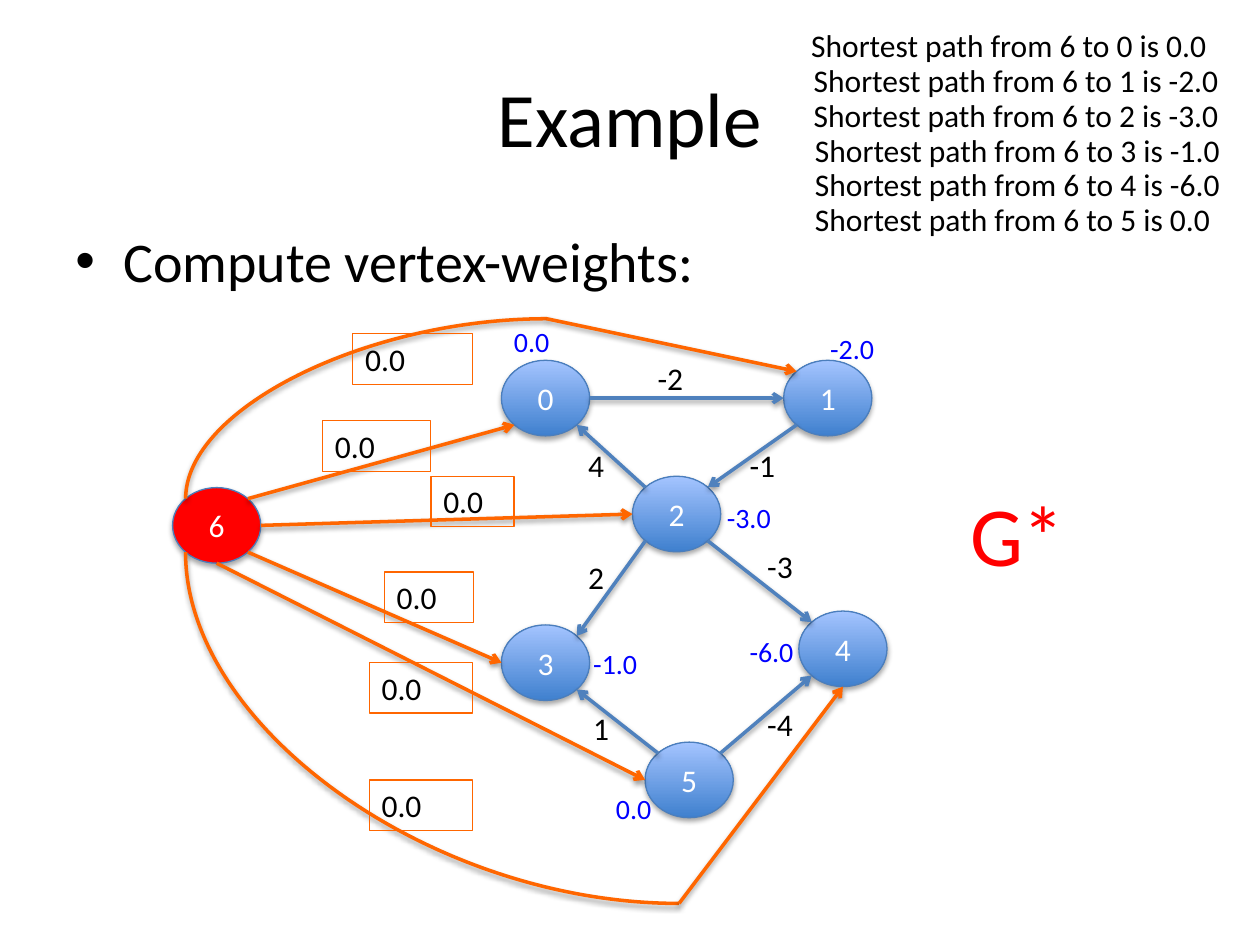
from math import cos, radians, sin

from lxml.etree import SubElement
from pptx import Presentation
from pptx.dml.color import RGBColor
from pptx.enum.shapes import MSO_CONNECTOR, MSO_SHAPE
from pptx.enum.text import MSO_ANCHOR, MSO_AUTO_SIZE, PP_ALIGN
from pptx.oxml.ns import qn
from pptx.util import Inches, Pt

COLORS = {
    "black": "000000", "white": "FFFFFF", "red": "FF0000", "blue": "0000FF",
    "orange": "FF6600", "edge": "4F81BD", "outline": "4B7EBC",
    "dark": "3F80CE", "light": "A4C4FF",
}
FONT = "Calibri"
NODE_WIDTH, NODE_HEIGHT = 0.7, 0.6
LABEL_HEIGHT = 0.4

# Node name: centre
NODES = {
    "0": (4.33, 3.16), "1": (6.57, 3.16), "2": (5.37, 4.08),
    "4": (6.69, 5.15), "3": (4.33, 5.26), "5": (5.47, 6.19),
}
SOURCE, SOURCE_CENTER = "6", (1.72, 4.17)
CENTERS = {**NODES, SOURCE: SOURCE_CENTER}

# Points on a node's rim, as clockwise degrees from the right
SITES = {"e": 0, "se": 45, "s": 90, "sw": 135, "w": 180, "nw": 225, "n": 270, "ne": 315}

# From node, site, to node, site, weight, place of the weight
EDGES = [
    ("0", "e", "1", "w", "-2", (5.12, 2.8)),
    ("1", "sw", "2", "ne", "-1", (5.85, 3.49)),
    ("2", "nw", "0", "se", "4", (4.57, 3.49)),
    ("2", "sw", "3", "ne", "2", (4.57, 4.38)),
    ("2", "se", "4", "nw", "-3", (5.99, 4.29)),
    ("5", "nw", "3", "se", "1", (4.61, 5.58)),
    ("5", "ne", "4", "sw", "-4", (5.99, 5.55)),
]

# Site on the source, to node, site, end of the curve, left, top and width of the box
SOURCE_EDGES = [
    ("ne", "0", "sw", None, (2.56, 3.34, 0.86)),
    ("e", "2", "w", None, (3.42, 3.78, 0.66)),
    ("se", "3", "w", None, (3.05, 4.54, 0.71)),
    ("s", "5", "w", None, (2.93, 5.26, 0.82)),
    ("sw", "4", "s", (5.39, 7.17), (2.93, 6.19, 0.82)),
    ("nw", "1", "nw", (4.34, 2.53), (2.8, 2.65, 0.95)),
]
SOURCE_WEIGHT = "0.0"

# Node, distance from the source, left of the result line, place of the vertex weight
DISTANCES = [
    ("0", "0.0", 6.34, (3.98, 2.53)),
    ("1", "-2.0", 6.36, (6.49, 2.58)),
    ("2", "-3.0", 6.36, (5.67, 3.92)),
    ("3", "-1.0", 6.37, (4.61, 5.08)),
    ("4", "-6.0", 6.37, (5.85, 4.99)),
    ("5", "0.0", 6.37, (4.79, 6.23)),
]
RESULT_TOP, RESULT_STEP = 0.16, 0.276


def color(name):
    return RGBColor.from_string(COLORS[name])


def rim_point(node, site):
    x, y = CENTERS[node]
    angle = radians(SITES[site])
    return x + NODE_WIDTH / 2 * cos(angle), y + NODE_HEIGHT / 2 * sin(angle)


def add_shadow(shape, distance, opacity):
    """Drop a soft shadow straight down; fill and line must be set before."""
    effects = SubElement(shape._element.spPr, qn("a:effectLst"))
    shadow = SubElement(effects, qn("a:outerShdw"), blurRad=str(Pt(3.1)),
                        dist=str(Pt(distance)), dir="5400000", rotWithShape="0")
    black = SubElement(shadow, qn("a:srgbClr"), val=COLORS["black"])
    SubElement(black, qn("a:alpha"), val=str(opacity * 1000))


def style_text(shape, text, size, color_name):
    frame = shape.text_frame
    frame.word_wrap = True
    paragraph = frame.paragraphs[0]
    paragraph.text = text
    paragraph.font.name = FONT
    paragraph.font.size = Pt(size)
    paragraph.font.color.rgb = color(color_name)
    return paragraph


def add_text(shapes, text, box, size=18, color_name="black", grow=True):
    textbox = shapes.add_textbox(*map(Inches, box))
    style_text(textbox, text, size, color_name)
    if grow:
        textbox.text_frame.auto_size = MSO_AUTO_SIZE.SHAPE_TO_FIT_TEXT
    return textbox


def add_node(shapes, name, center):
    x, y = center
    box = (x - NODE_WIDTH / 2, y - NODE_HEIGHT / 2, NODE_WIDTH, NODE_HEIGHT)
    node = shapes.add_shape(MSO_SHAPE.OVAL, *map(Inches, box))
    if name == SOURCE:
        node.fill.solid()
        node.fill.fore_color.rgb = color("red")
    else:
        node.fill.gradient()
        node.fill.gradient_angle = 90
        for stop, shade in zip(node.fill.gradient_stops, ("dark", "light")):
            stop.color.rgb = color(shade)
    node.line.color.rgb = color("outline")
    node.line.width = Pt(0.75)
    add_shadow(node, 1.8, 35)
    style_text(node, name, 18, "white").alignment = PP_ALIGN.CENTER
    node.text_frame.vertical_anchor = MSO_ANCHOR.MIDDLE


def style_line(connector, color_name, arrow=True):
    connector.line.color.rgb = color(color_name)
    connector.line.width = Pt(2)
    if arrow:
        line = connector._element.spPr.find(qn("a:ln"))
        SubElement(line, qn("a:tailEnd"), type="arrow")
    add_shadow(connector, 1.6, 38)


def add_arrow(shapes, start, end, color_name):
    arrow = shapes.add_connector(MSO_CONNECTOR.STRAIGHT, *map(Inches, (*start, *end)))
    style_line(arrow, color_name)


def add_curve(shapes, start, end, color_name):
    """Quarter curve that leaves start vertically and reaches end on its right."""
    (x1, y1), (x2, y2) = start, end
    width, height = abs(y2 - y1), x2 - x1
    left, top = (x1 + x2 - width) / 2, (y1 + y2 - height) / 2
    curve = shapes.add_connector(
        MSO_CONNECTOR.CURVE, *map(Inches, (left, top, left + width, top + height)))
    properties = curve._element.spPr
    properties.find(qn("a:prstGeom")).set("prst", "curvedConnector2")
    transform = properties.find(qn("a:xfrm"))
    transform.set("flipH", "1")
    if y2 < y1:
        transform.set("flipV", "1")
    transform.set("rot", str((270 if y2 > y1 else 90) * 60000))
    style_line(curve, color_name, arrow=False)


presentation = Presentation()
presentation.slide_width, presentation.slide_height = Inches(10), Inches(7.5)
slide = presentation.slides.add_slide(presentation.slide_layouts[6])
shapes = slide.shapes

title = add_text(shapes, "Example", (0.5, 0.3, 9, 1.25), 44, grow=False)
title.text_frame.vertical_anchor = MSO_ANCHOR.MIDDLE
title.text_frame.paragraphs[0].alignment = PP_ALIGN.CENTER

body = add_text(shapes, "Compute vertex-weights:", (0.5, 1.75, 9, 4.95), 32, grow=False)
bullet_paragraph = body.text_frame.paragraphs[0]
bullet_paragraph.space_before = Pt(6.4)
bullet_properties = bullet_paragraph._p.get_or_add_pPr()
bullet_properties.set("marL", str(Inches(0.38)))
bullet_properties.set("indent", str(Inches(-0.38)))
bullet_font = SubElement(bullet_properties, qn("a:buFont"), typeface="Arial")
bullet = SubElement(bullet_properties, qn("a:buChar"), char="•")
bullet_properties.find(qn("a:defRPr")).addprevious(bullet_font)
bullet_font.addnext(bullet)

for name, center in NODES.items():
    add_node(shapes, name, center)
for start, start_site, end, end_site, _, _ in EDGES:
    add_arrow(shapes, rim_point(start, start_site), rim_point(end, end_site), "edge")
for *_, weight, place in EDGES:
    add_text(shapes, weight, (*place, 0.49, LABEL_HEIGHT))

add_node(shapes, SOURCE, SOURCE_CENTER)
for site, target, target_site, bend, (left, top, width) in SOURCE_EDGES:
    group = shapes.add_group_shape()
    start = rim_point(SOURCE, site)
    if bend:
        add_curve(group.shapes, start, bend, "orange")
    add_arrow(group.shapes, bend or start, rim_point(target, target_site), "orange")
    label = add_text(group.shapes, SOURCE_WEIGHT, (left, top, width, LABEL_HEIGHT))
    label.line.color.rgb = color("orange")
    label.line.width = Pt(0.75)

add_text(shapes, "G*", (7.6, 3.78, 1.21, 0.91), 48, "red")
for row, (node, distance, left, _) in enumerate(DISTANCES):
    add_text(shapes, f"Shortest path from {SOURCE} to {node} is {distance}",
             (left, RESULT_TOP + row * RESULT_STEP, 3.5, LABEL_HEIGHT))
for _, distance, _, place in DISTANCES:
    add_text(shapes, distance, (*place, 0.55, 0.37), 16, "blue")

presentation.save("out.pptx")
